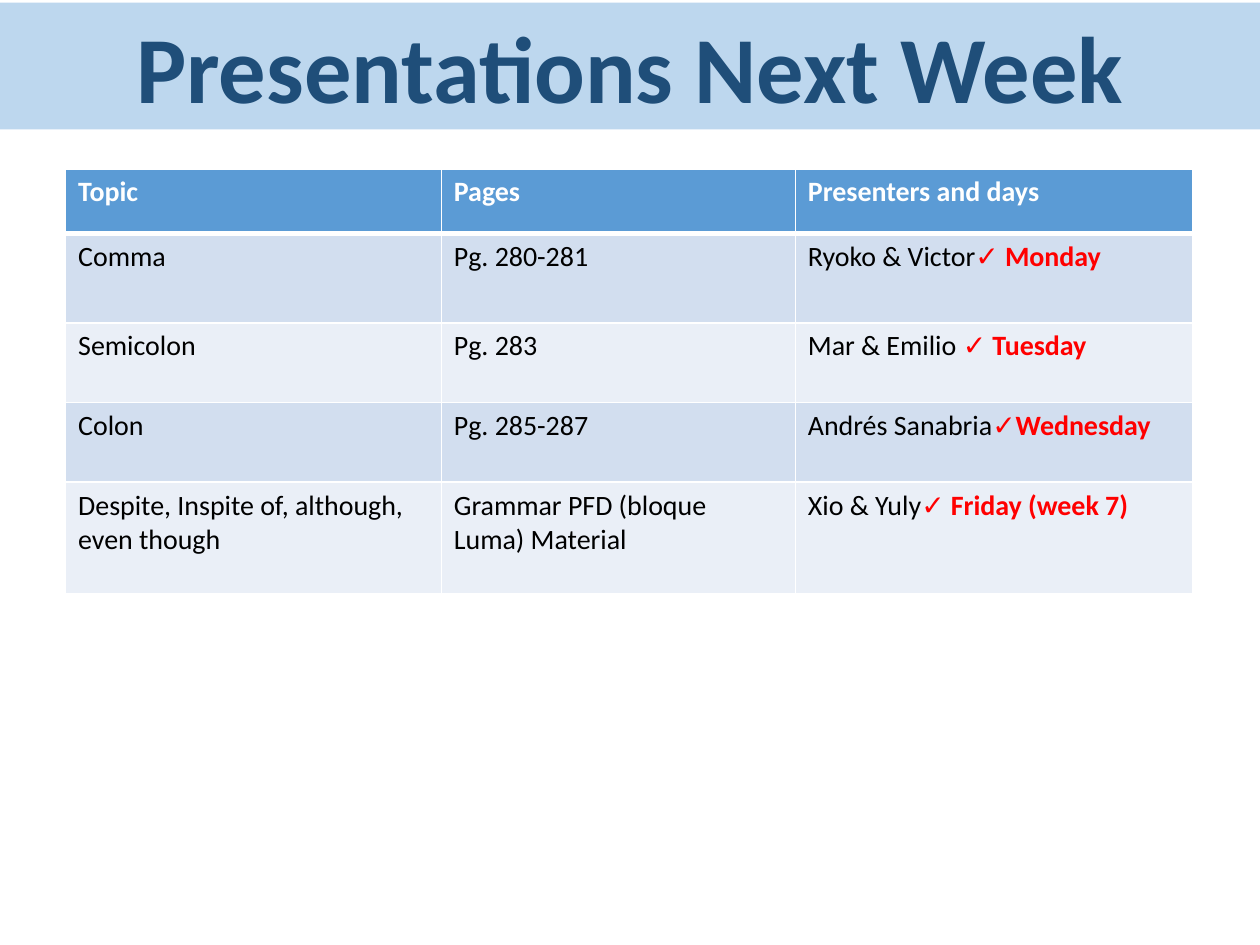
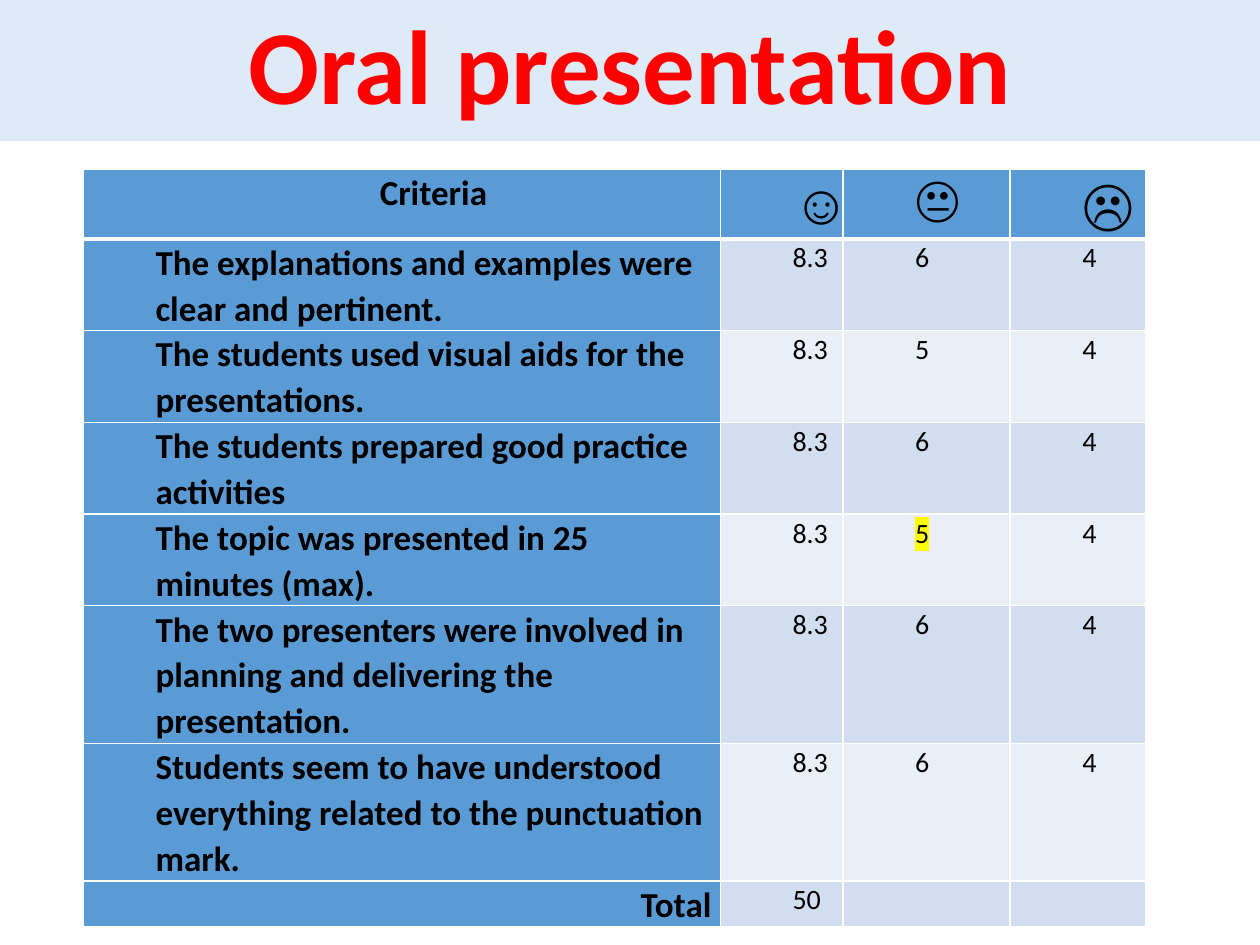
from dataclasses import dataclass, replace

from pptx import Presentation
from pptx.dml.color import RGBColor
from pptx.enum import text
from pptx.oxml import parse_xml
from pptx.oxml.ns import nsdecls, qn
from pptx.util import Pt

WHITE, BLACK, RED, NAVY = "FFFFFF", "000000", "FF0000", "1F4E79"
BLUE, BANDS, YELLOW = "5B9BD5", ("D2DEEF", "EAEFF7"), "FFFF00"
FONT = "Calibri"
LEFT, CENTER, RIGHT = (text.PP_ALIGN.LEFT, text.PP_ALIGN.CENTER,
                       text.PP_ALIGN.RIGHT)


@dataclass(frozen=True)
class Run:
    words: str
    size: float = 16
    color: str = BLACK
    bold: bool = False
    font: str = FONT
    mark: str = ""


@dataclass(frozen=True)
class Band:
    title: Run
    top: float
    height: float
    fill: str
    spacing: float


@dataclass(frozen=True)
class Cell:
    runs: tuple[Run, ...]
    fill: str
    align: text.PP_ALIGN = LEFT
    after: float = 0


@dataclass(frozen=True)
class Grid:
    left: float
    top: float
    cols: tuple[float, ...]
    rows: tuple[float, ...]
    margins: tuple[float, float]
    indent: float = 0
    spacing: float = 1


def rgb(code: str) -> RGBColor:
    return RGBColor.from_string(code)


def add_run(para, item: Run) -> None:
    run = para.add_run()
    run.text = item.words
    font = run.font
    font.name, font.size, font.bold = item.font, Pt(item.size), item.bold
    font.color.rgb = rgb(item.color)
    if item.mark:
        fill = run._r.rPr.find(qn("a:solidFill"))
        fill.addnext(parse_xml(
            f'<a:highlight {nsdecls("a")}><a:srgbClr val="{item.mark}"/></a:highlight>'))


def add_slide(deck, band: Band):
    """Add a slide whose title fills a full-width band."""
    slide = deck.slides.add_slide(deck.slide_layouts[5])
    title = slide.shapes.title
    title.left, title.top = 0, Pt(band.top)
    title.width, title.height = deck.slide_width, Pt(band.height)
    title.fill.solid()
    title.fill.fore_color.rgb = rgb(band.fill)
    frame = title.text_frame
    frame.auto_size = text.MSO_AUTO_SIZE.NONE
    frame.vertical_anchor = text.MSO_ANCHOR.MIDDLE
    para = frame.paragraphs[0]
    para.alignment, para.line_spacing = CENTER, band.spacing
    add_run(para, band.title)
    return slide


def add_edges(cell, row: int) -> None:
    """Rule a cell in white, thicker between header and body."""
    widths = {"L": 1, "R": 1, "T": 3 if row == 1 else 1, "B": 3 if row == 0 else 1}
    props = cell._tc.get_or_add_tcPr()
    for spot, (side, width) in enumerate(widths.items()):
        props.insert(spot, parse_xml(
            f'<a:ln{side} {nsdecls("a")} w="{Pt(width)}"><a:solidFill>'
            f'<a:srgbClr val="{WHITE}"/></a:solidFill></a:ln{side}>'))


def fill_cell(cell, item: Cell, grid: Grid) -> None:
    cell.fill.solid()
    cell.fill.fore_color.rgb = rgb(item.fill)
    side, edge = map(Pt, grid.margins)
    cell.margin_left = cell.margin_right = side
    cell.margin_top = cell.margin_bottom = edge
    para = cell.text_frame.paragraphs[0]
    para.alignment, para.line_spacing = item.align, grid.spacing
    para.space_after = Pt(item.after)
    if grid.indent:
        props = para._p.get_or_add_pPr()
        props.set("marL", str(Pt(grid.indent)))
        props.set("indent", "0")
    for run in item.runs:
        add_run(para, run)


def add_grid(slide, grid: Grid, cells: list[list[Cell]]) -> None:
    frame = slide.shapes.add_table(
        len(grid.rows), len(grid.cols), Pt(grid.left), Pt(grid.top),
        Pt(sum(grid.cols)), Pt(sum(grid.rows)))
    table = frame.table
    table.horz_banding = False
    for col, width in zip(table.columns, grid.cols):
        col.width = Pt(width)
    for row, height in zip(table.rows, grid.rows):
        row.height = Pt(height)
    for r, line in enumerate(cells):
        for c, item in enumerate(line):
            cell = table.cell(r, c)
            fill_cell(cell, item, grid)
            add_edges(cell, r)


TOPICS = [
    ("Comma", "Pg. 280-281", "Ryoko & Victor", "✓ Monday"),
    ("Semicolon", "Pg. 283", "Mar & Emilio ", "✓ Tuesday"),
    ("Colon", "Pg. 285-287", "Andrés Sanabria", "✓Wednesday"),
    ("Despite, Inspite of, although, even though",
     "Grammar PFD (bloque Luma) Material", "Xio & Yuly", "✓ Friday (week 7)"),
]
CRITERIA = [
    ("The explanations and examples were clear and pertinent.", "6"),
    ("The students used visual aids for the presentations.", "5"),
    ("The students prepared good practice activities", "6"),
    ("The topic was presented in 25 minutes (max).", "5"),
    ("The two presenters were involved in planning and delivering the presentation.", "6"),
    ("Students seem to have understood everything related to the punctuation mark.", "6"),
]
MARKED = 3  # criterion whose middle score is highlighted
FACES = (("☺", 32), ("😐", 28), ("☹", 32))


def add_plan(deck) -> None:
    slide = add_slide(deck, Band(
        Run("Presentations Next Week", 54, NAVY, True), 1.5, 72.5, "BDD7EE", 1))
    cells = [[Cell((Run(head, color=WHITE, bold=True),), BLUE)
              for head in ("Topic", "Pages", "Presenters and days")]]
    for n, (topic, pages, names, day) in enumerate(TOPICS):
        parts = ((Run(topic),), (Run(pages),),
                 (Run(names), Run(day, color=RED, bold=True)))
        cells.append([Cell(runs, BANDS[n % 2]) for runs in parts])
    add_grid(slide, Grid(37.5, 96.5, (214.7, 202.3, 227),
                         (37, 51, 45.5, 45.5, 64), (7.2, 3.6)), cells)


def add_rubric(deck) -> None:
    slide = add_slide(deck, Band(
        Run("Oral presentation", 60, RED, True), 0, 80.5, "DEEBF7", 0.9))

    def label(words: str, align=LEFT) -> Cell:
        return Cell((Run(words, 20, bold=True),), BLUE, align)

    faces = [Cell((Run(face, size, bold=True, font="Arial"),), BLUE)
             for face, size in FACES]
    faces[-1] = replace(faces[-1], after=8)
    cells = [[label("Criteria", CENTER), *faces]]
    for n, (words, score) in enumerate(CRITERIA):
        shade = BANDS[n % 2]
        middle = Run(score, mark=YELLOW if n == MARKED else "")
        cells.append([label(words), Cell((Run("8.3"),), shade),
                      Cell((middle,), shade), Cell((Run("4"),), shade, after=8)])
    blank = Cell((), BANDS[0])
    cells.append([label("Total", RIGHT), Cell((Run("50"),), BANDS[0]), blank, blank])
    heights = (40, *[51.4] * 4, *[77] * 2, 25.7)
    add_grid(slide, Grid(47.7, 96.5, (364, 70, 95.6, 77.4), heights,
                         (5.2, 0), 36, 1.07), cells)


def main() -> None:
    deck = Presentation()
    deck.slide_width, deck.slide_height = Pt(720), Pt(540)
    add_plan(deck)
    add_rubric(deck)
    deck.save("out.pptx")


if __name__ == "__main__":
    main()
